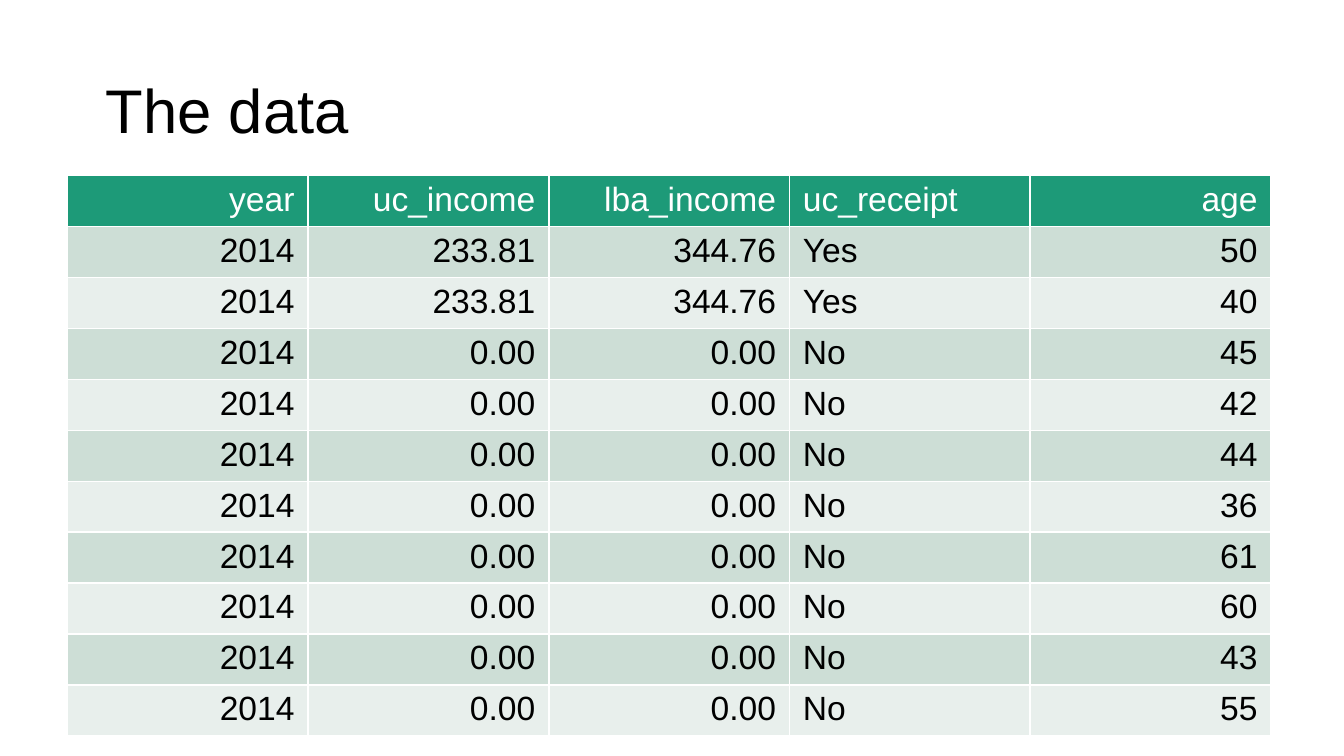
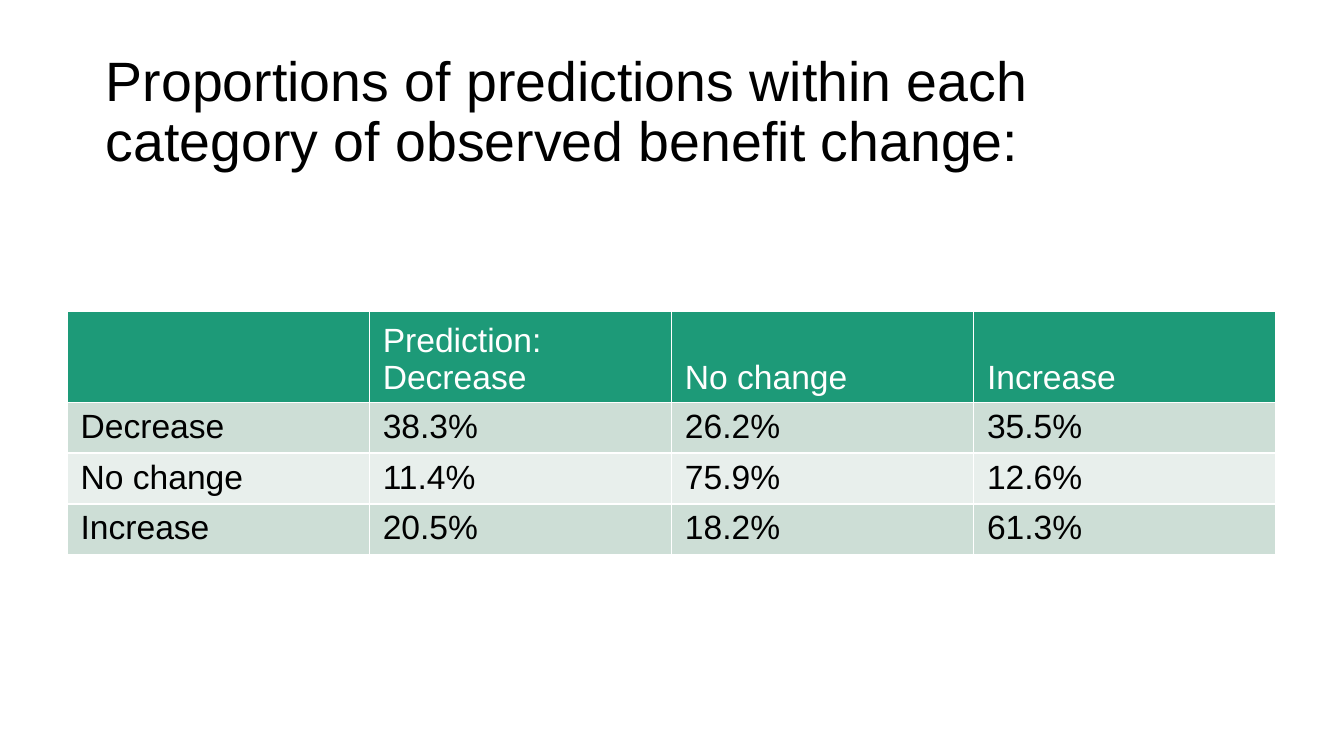
from pptx import Presentation
from pptx.dml.color import RGBColor
from pptx.enum.text import MSO_ANCHOR as Anchor, PP_ALIGN as Align
from pptx.oxml import parse_xml
from pptx.oxml.ns import nsdecls
from pptx.util import Cm, Pt

FONT = "Arial"
BLACK, WHITE = "000000", "FFFFFF"
HEADER_GREEN = "1D9A78"
BAND_FILLS = ["CDDED6", "E8EFEC"]
ROW_HEIGHT = 0.96
CELL_MARGIN = 0.1


def color(value):
    return RGBColor.from_string(value)


def add_text(paragraph, text, size, text_color):
    run = paragraph.add_run()
    run.text = text
    run.font.name = FONT
    run.font.size = Pt(size)
    run.font.bold = False
    run.font.color.rgb = color(text_color)


people = [
    ("233.81", "Yes", 50), ("233.81", "Yes", 40), ("0.00", "No", 45),
    ("0.00", "No", 42), ("0.00", "No", 44), ("0.00", "No", 36),
    ("0.00", "No", 61), ("0.00", "No", 60), ("0.00", "No", 43),
    ("0.00", "No", 55),
]
lba_incomes = {"233.81": "344.76", "0.00": "0.00"}
data_rows = [["year", "uc_income", "lba_income", "uc_receipt", "age"]]
for uc_income, receipt, age in people:
    data_rows.append(["2014", uc_income, lba_incomes[uc_income], receipt, str(age)])

prediction_rows = [
    ["", "Prediction:\nDecrease", "No change", "Increase"],
    ["Decrease", "38.3%", "26.2%", "35.5%"],
    ["No change", "11.4%", "75.9%", "12.6%"],
    ["Increase", "20.5%", "18.2%", "61.3%"],
]

slides = [
    {"title": "The data", "title_size": 33, "top": 3.32, "column_width": 4.55,
     "header_height": ROW_HEIGHT, "header_anchor": Anchor.TOP,
     "right_columns": {0, 1, 2, 4}, "rows": data_rows},
    {"title": "Proportions of predictions within each category of observed benefit change:",
     "title_size": 29.7, "top": 5.88, "column_width": 5.71,
     "header_height": 1.65, "header_anchor": Anchor.BOTTOM,
     "right_columns": set(), "rows": prediction_rows},
]

presentation = Presentation()
presentation.slide_width = Cm(25.4)
presentation.slide_height = Cm(14.29)

for content in slides:
    slide = presentation.slides.add_slide(presentation.slide_layouts[6])

    title = slide.shapes.add_textbox(Cm(1.75), Cm(0.76), Cm(21.9), Cm(2.76))
    title.text_frame.word_wrap = True
    title.text_frame.vertical_anchor = Anchor.MIDDLE
    paragraph = title.text_frame.paragraphs[0]
    paragraph.line_spacing = 0.9
    add_text(paragraph, content["title"], content["title_size"], BLACK)

    rows = content["rows"]
    column_count = len(rows[0])
    height = content["header_height"] + ROW_HEIGHT * (len(rows) - 1)
    table = slide.shapes.add_table(
        len(rows), column_count, Cm(1.27), Cm(content["top"]),
        Cm(content["column_width"] * column_count), Cm(height)).table
    for column in table.columns:
        column.width = Cm(content["column_width"])

    for row_index, values in enumerate(rows):
        is_header = row_index == 0
        table.rows[row_index].height = Cm(content["header_height"] if is_header else ROW_HEIGHT)
        fill = HEADER_GREEN if is_header else BAND_FILLS[(row_index - 1) % 2]
        for column_index, value in enumerate(values):
            cell = table.cell(row_index, column_index)
            cell.vertical_anchor = content["header_anchor"] if is_header else Anchor.TOP
            cell.margin_top = cell.margin_bottom = Cm(CELL_MARGIN)
            properties = cell._tc.get_or_add_tcPr()
            for side in "LRTB":
                properties.append(parse_xml(
                    f'<a:ln{side} {nsdecls("a")} w="{Pt(1)}"><a:solidFill>'
                    f'<a:srgbClr val="{WHITE}"/></a:solidFill></a:ln{side}>'))
            cell.fill.solid()
            cell.fill.fore_color.rgb = color(fill)
            if not value:
                continue
            for line_index, line in enumerate(value.split("\n")):
                frame = cell.text_frame
                paragraph = frame.add_paragraph() if line_index else frame.paragraphs[0]
                is_right = column_index in content["right_columns"]
                paragraph.alignment = Align.RIGHT if is_right else Align.LEFT
                add_text(paragraph, line, 18, WHITE if is_header else BLACK)

presentation.save("out.pptx")
